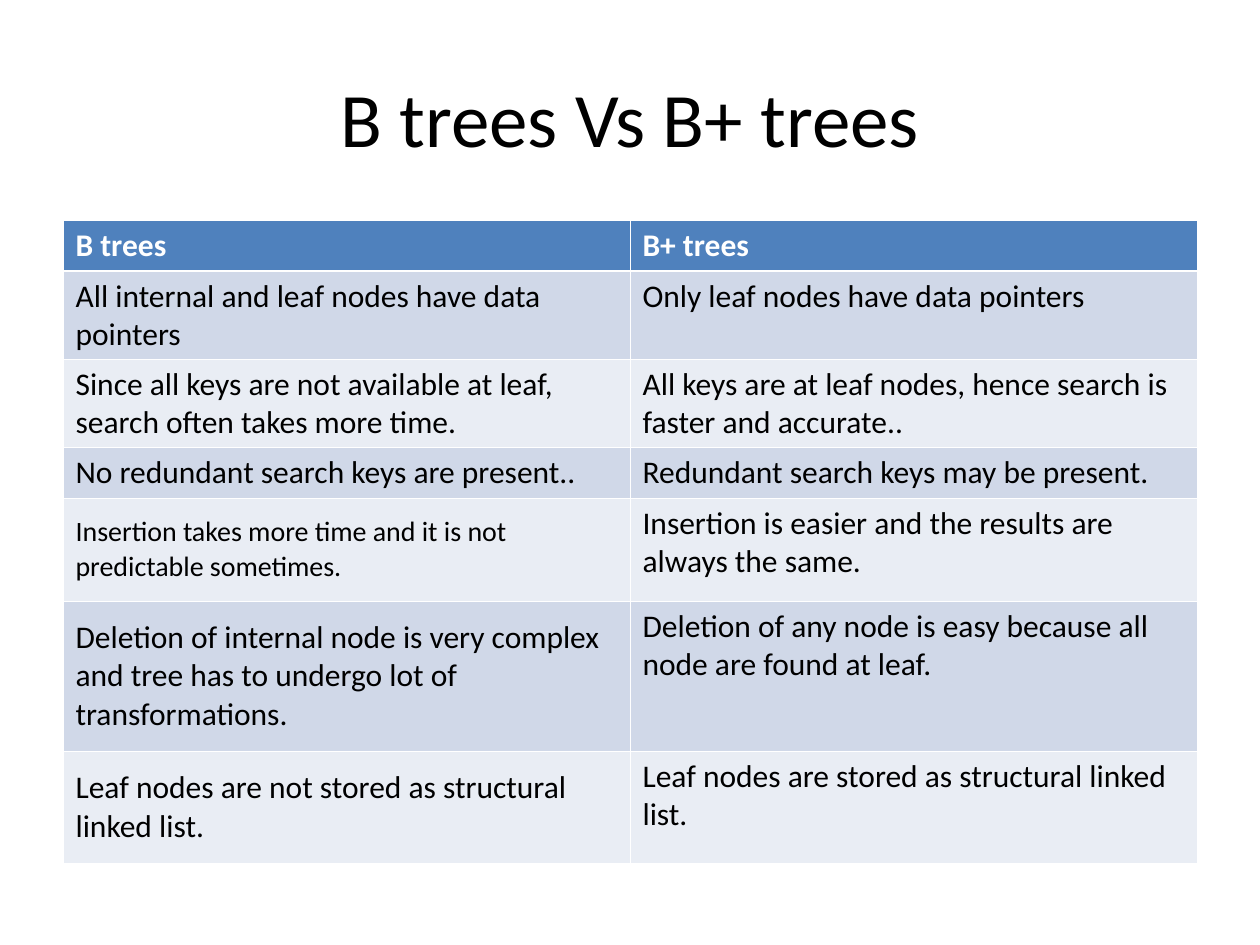
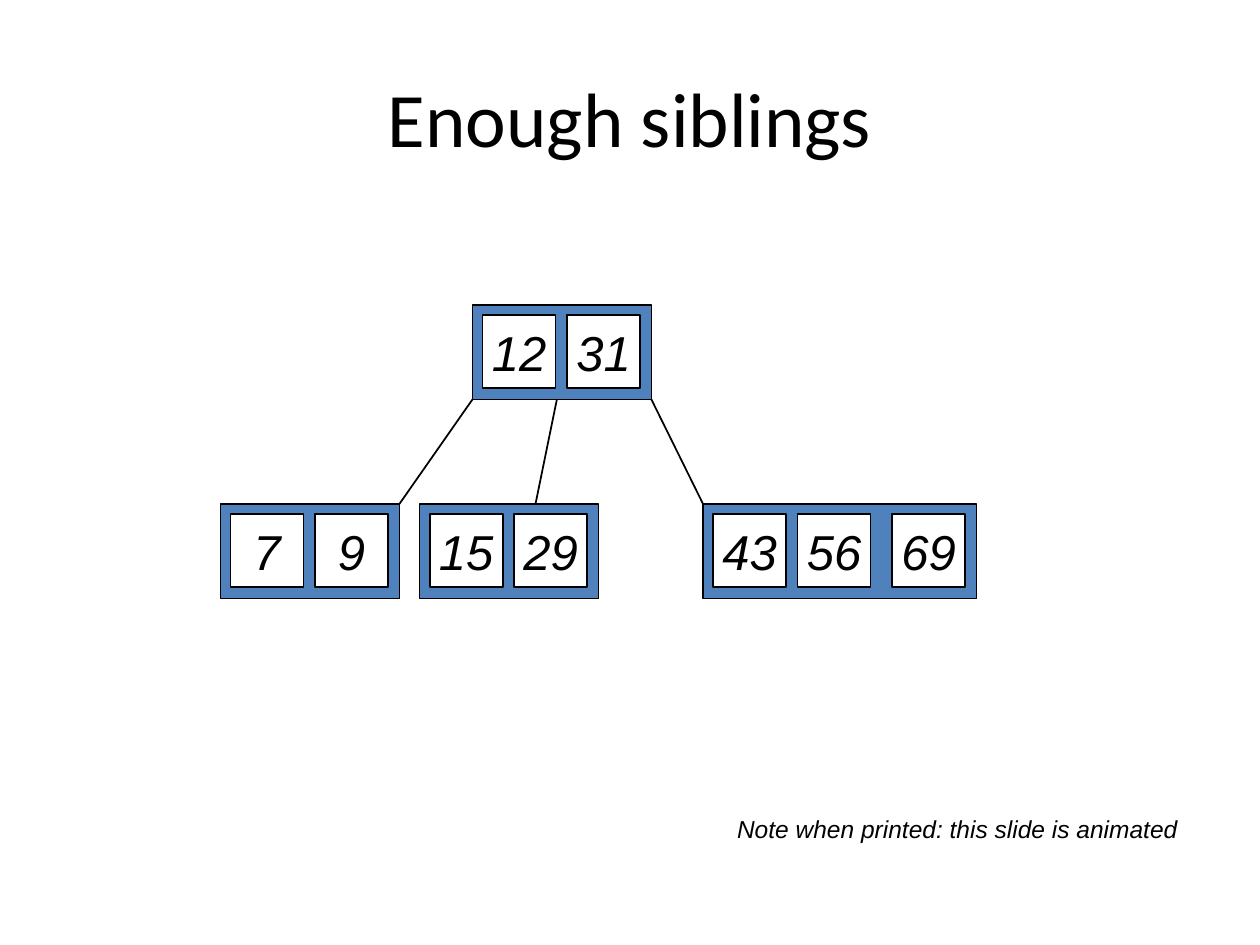
import pptx
import pptx.util
import pptx.dml.color
import pptx.enum.shapes
import pptx.enum.text
import pptx.oxml
import pptx.oxml.ns

Inches, Pt = pptx.util.Inches, pptx.util.Pt
RGBColor = pptx.dml.color.RGBColor
PP_ALIGN = pptx.enum.text.PP_ALIGN
MSO_ANCHOR = pptx.enum.text.MSO_ANCHOR
RECTANGLE = pptx.enum.shapes.MSO_SHAPE.RECTANGLE
STRAIGHT = pptx.enum.shapes.MSO_CONNECTOR.STRAIGHT

COLORS = {"blue": "4F81BD", "band_dark": "D0D8E8", "band_light": "E9EDF4",
          "white": "FFFFFF", "black": "000000"}


def write_text(holder, text, size, font, color="black", bold=False, italic=False,
               align=PP_ALIGN.CENTER):
    paragraph = holder.text_frame.paragraphs[0]
    paragraph.text = text
    paragraph.alignment = align
    paragraph.font.size = Pt(size)
    paragraph.font.name = font
    paragraph.font.bold = bold
    paragraph.font.italic = italic
    paragraph.font.color.rgb = RGBColor.from_string(COLORS[color])


def add_box(slide, left, top, width, height, fill):
    box = slide.shapes.add_shape(RECTANGLE, Inches(left), Inches(top),
                                 Inches(width), Inches(height))
    box.shadow.inherit = False
    box.fill.solid()
    box.fill.fore_color.rgb = RGBColor.from_string(COLORS[fill])
    box.line.color.rgb = RGBColor.from_string(COLORS["black"])
    box.line.width = Pt(1)
    return box


presentation = pptx.Presentation()
presentation.slide_width = Inches(10)
presentation.slide_height = Inches(7.5)

# Slides with their shared title style
slides = []
for title in ("B trees Vs B+ trees", "Enough siblings"):
    slide = presentation.slides.add_slide(presentation.slide_layouts[6])
    title_box = slide.shapes.add_textbox(Inches(0.5), Inches(0.3), Inches(9), Inches(1.25))
    title_box.text_frame.word_wrap = True
    title_box.text_frame.vertical_anchor = MSO_ANCHOR.MIDDLE
    write_text(title_box, title, 44, "Calibri")
    slides.append(slide)
comparison_slide, siblings_slide = slides

# Comparison table: row height, B trees, B+ trees
comparison = [
    (0.4, "B trees", "B+ trees"),
    (0.7, "All internal and leaf nodes have data pointers",
     "Only leaf nodes have data pointers"),
    (0.7, "Since all keys are not available at leaf, search often takes more time.",
     "All keys are at leaf nodes, hence search is faster and accurate.."),
    (0.4, "No redundant search keys are present..",
     "Redundant search keys may be present."),
    (0.82, "Insertion takes more time and it is not predictable sometimes.",
     "Insertion is easier and the results are always the same."),
    (1.19, "Deletion of internal node is very complex and tree has to undergo lot of "
     "transformations.",
     "Deletion of any node is easy because all node are found at leaf."),
    (0.89, "Leaf nodes are not stored as structural linked list.",
     "Leaf nodes are stored as structural linked list."),
]
table = comparison_slide.shapes.add_table(
    len(comparison), 2, Inches(0.5), Inches(1.75), Inches(9), Inches(5.1)).table
for row, (height, *texts) in enumerate(comparison):
    table.rows[row].height = Inches(height)
    header = row == 0
    fill = "blue" if header else ("band_light", "band_dark")[row % 2]
    for column, text in enumerate(texts):
        cell = table.cell(row, column)
        cell.fill.solid()
        cell.fill.fore_color.rgb = RGBColor.from_string(COLORS[fill])
        if column == 0 and row >= 4:
            cell.vertical_anchor = MSO_ANCHOR.MIDDLE
        size = 16 if (row, column) == (4, 0) else 18
        write_text(cell, text, size, "Calibri", "white" if header else "black",
                   bold=header, align=PP_ALIGN.LEFT)
        # White cell borders, thicker between the header and the body
        properties = cell._tc.get_or_add_tcPr()
        for position, side in enumerate("LRTB"):
            under_header = (row, side) in ((0, "B"), (1, "T"))
            border = pptx.oxml.parse_xml(
                f'<a:ln{side} {pptx.oxml.ns.nsdecls("a")} w="{Pt(1.5 if under_header else 0.45)}">'
                f'<a:solidFill><a:srgbClr val="{COLORS["white"]}"/></a:solidFill></a:ln{side}>')
            properties.insert(position, border)

# Tree nodes: left, top, width, keys with their offsets in the node
NODE_HEIGHT, KEY_SIZE, KEY_INSET = 0.75, 0.58, 0.08
ROOT_TOP, LEAF_TOP = 2.42, 4
pair, triple = (0.08, 0.75), (0.08, 0.75, 1.5)
nodes = [
    (3.75, ROOT_TOP, 1.42, ("12", "31"), pair),
    (1.75, LEAF_TOP, 1.42, ("7", "9"), pair),
    (3.33, LEAF_TOP, 1.42, ("15", "29"), pair),
    (5.58, LEAF_TOP, 2.17, ("43", "56", "69"), triple),
]
for left, top, width, keys, offsets in nodes:
    add_box(siblings_slide, left, top, width, NODE_HEIGHT, "blue")
    for key, offset in zip(keys, offsets):
        key_box = add_box(siblings_slide, left + offset, top + KEY_INSET,
                          KEY_SIZE, KEY_SIZE, "white")
        key_box.text_frame.word_wrap = False
        key_box.text_frame.vertical_anchor = MSO_ANCHOR.MIDDLE
        write_text(key_box, key, 28, "Arial", italic=True)

# Branches from the root to the leaves
for root_x, leaf_x in ((3.75, 3.17), (4.42, 4.25), (5.17, 5.58)):
    branch = siblings_slide.shapes.add_connector(
        STRAIGHT, Inches(root_x), Inches(ROOT_TOP + NODE_HEIGHT),
        Inches(leaf_x), Inches(LEAF_TOP))
    branch.line.color.rgb = RGBColor.from_string(COLORS["black"])
    branch.line.width = Pt(1)
    branch._element.spPr.append(
        pptx.oxml.parse_xml(f'<a:effectLst {pptx.oxml.ns.nsdecls("a")}/>'))

# Note
note = siblings_slide.shapes.add_textbox(Inches(5.75), Inches(6.41), Inches(3.7), Inches(0.34))
note.text_frame.word_wrap = False
note.text_frame.auto_size = pptx.enum.text.MSO_AUTO_SIZE.SHAPE_TO_FIT_TEXT
note.text_frame.vertical_anchor = MSO_ANCHOR.MIDDLE
write_text(note, "Note when printed: this slide is animated", 14, "Arial", italic=True)

presentation.save("out.pptx")
